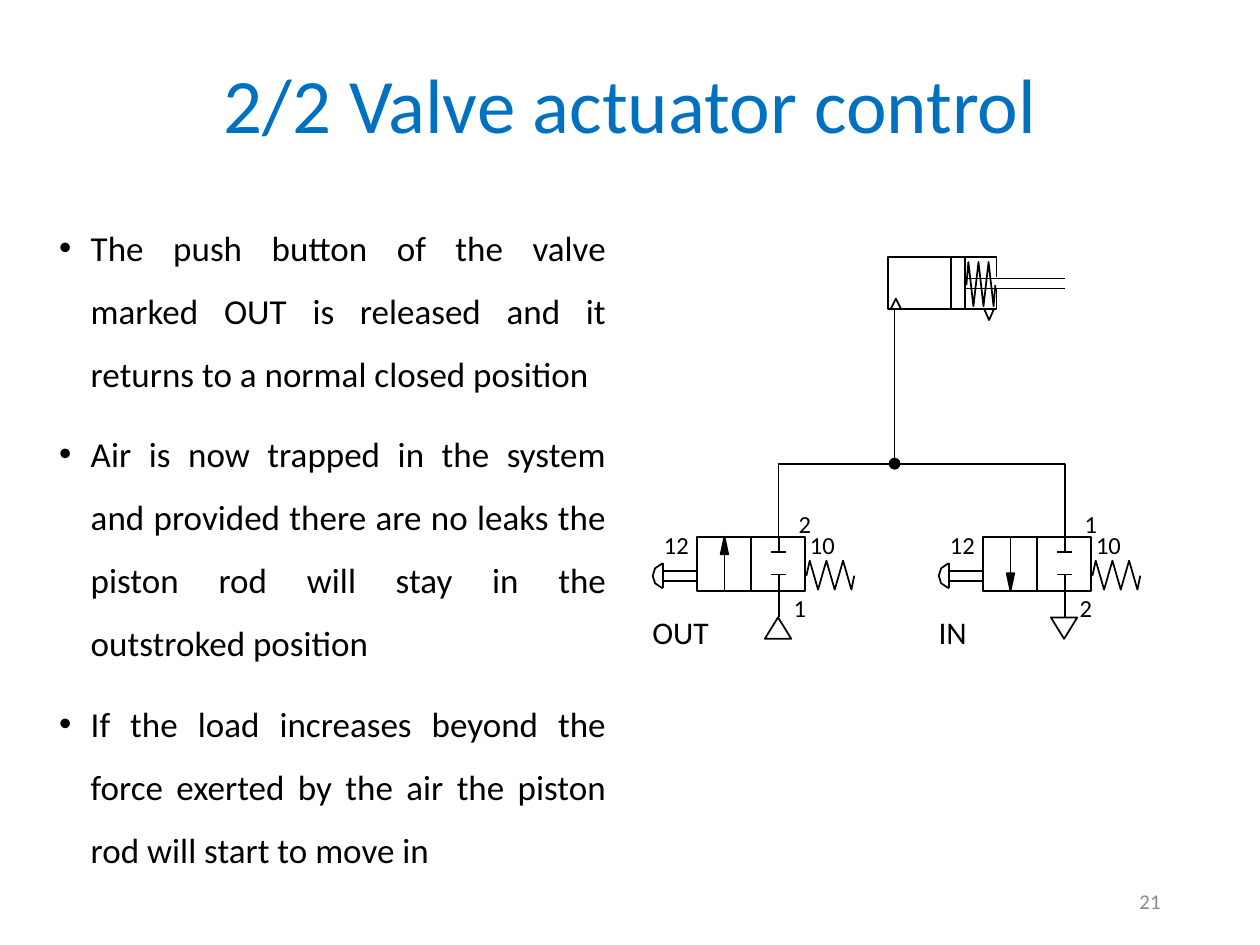
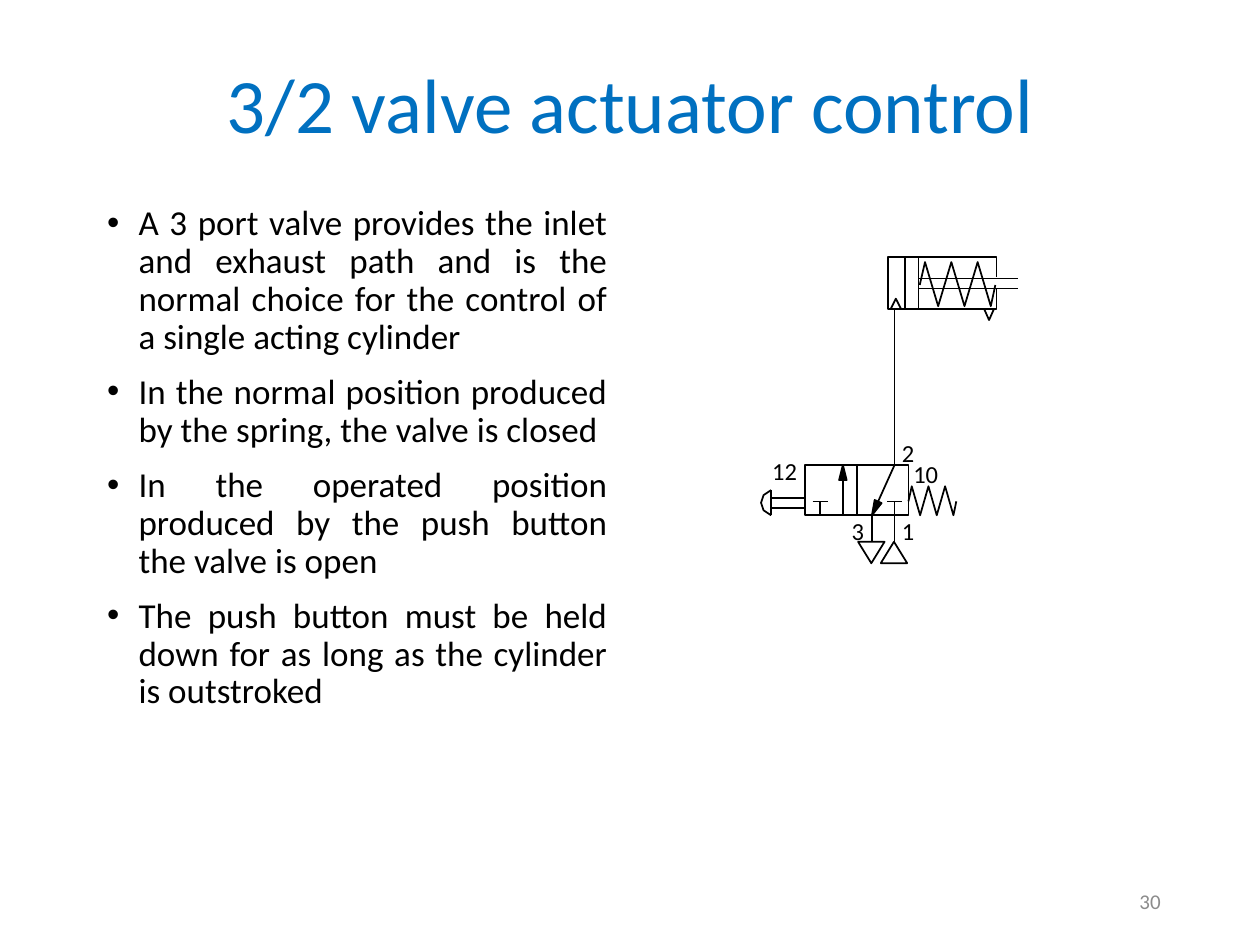
from dataclasses import dataclass
from math import hypot

from lxml.etree import SubElement
from pptx import Presentation
from pptx.dml.color import RGBColor
from pptx.enum.shapes import MSO_CONNECTOR, MSO_SHAPE
from pptx.enum.text import MSO_ANCHOR, MSO_AUTO_SIZE, PP_ALIGN
from pptx.oxml.ns import qn
from pptx.util import Inches, Pt

SLIDE_WIDTH, SLIDE_HEIGHT = Inches(10), Inches(7.5)
COLUMN, ROW = SLIDE_WIDTH / 10, SLIDE_HEIGHT / 7.5


@dataclass(frozen=True)
class Theme:
    font: str = "Calibri"
    heading: RGBColor = RGBColor(0x00, 0x70, 0xC0)
    ink: RGBColor = RGBColor(0, 0, 0)
    muted: RGBColor = RGBColor(0x8C, 0x8C, 0x8C)
    title_size: int = 44
    body_size: int = 20
    name_size: int = 18
    port_size: int = 14
    footer_size: int = 12
    stroke: int = 1


THEME = Theme()
TITLE_BOX = (1.27, 0.46, 7.47, 0.81)
NUMBER_BOX = (7.06, 6.95, 2.25, 0.4)
DIAGRAM_ORIGIN = (5, 2)
CYLINDER_ORIGIN = (2.05, 0.04)
SUPPLY_X = 2.1
BULLET_INDENT = Inches(0.25)


def apply(target, **values):
    for attribute, value in values.items():
        setattr(target, attribute, value)


def grid_box(left, top, width, height):
    return {"left": round(left * COLUMN), "top": round(top * ROW),
            "width": round(width * COLUMN), "height": round(height * ROW)}


def write(paragraph, text, size, color, **layout):
    apply(paragraph, text=text, **layout)
    apply(paragraph.font, name=THEME.font, size=Pt(size))
    paragraph.font.color.rgb = color


class Panel:
    """Drawing area whose coordinates are grid columns and rows from its corner."""

    def __init__(self, shapes, left, top):
        self.shapes, self.left, self.top = shapes, left, top

    def inner(self, x, y):
        return Panel(self.shapes, self.left + x, self.top + y)

    def point(self, x, y):
        return round((self.left + x) * COLUMN), round((self.top + y) * ROW)

    def ink(self, shape, filled=False):
        shape.shadow.inherit = False
        apply(shape.line, width=Pt(THEME.stroke))
        shape.line.color.rgb = THEME.ink
        if filled:
            shape.fill.solid()
            shape.fill.fore_color.rgb = THEME.ink
        else:
            shape.fill.background()
        return shape

    def line(self, start, end):
        connector = self.shapes.add_connector(
            MSO_CONNECTOR.STRAIGHT, *self.point(*start), *self.point(*end))
        connector.line.width = Pt(THEME.stroke)
        connector.line.color.rgb = THEME.ink
        SubElement(connector._element.spPr, qn("a:effectLst"))
        return connector

    def outline(self, points, closed=False, filled=False):
        first, *others = [self.point(*point) for point in points]
        builder = self.shapes.build_freeform(*first)
        builder.add_line_segments(others, close=closed)
        return self.ink(builder.convert_to_shape(), filled)

    def preset(self, kind, x, y, width, height, filled=False):
        box = grid_box(self.left + x, self.top + y, width, height)
        return self.ink(self.shapes.add_shape(kind, **box), filled)

    def label(self, text, x, y, size=THEME.port_size, width=None, height=0.33):
        width = width or 0.2 + 0.11 * len(text)
        box = self.shapes.add_textbox(**grid_box(self.left + x, self.top + y, width, height))
        apply(box.text_frame, word_wrap=False, auto_size=MSO_AUTO_SIZE.SHAPE_TO_FIT_TEXT)
        write(box.text_frame.paragraphs[0], text, size, THEME.ink)


def spring(panel, width, height):
    """Zigzag of six peaks that starts and ends at mid height."""
    peaks = [((0.94 - 0.174 * turn) * width, 0 if turn % 2 else height) for turn in range(6)]
    panel.outline([(width, 0.52 * height), *peaks, (0, 0.52 * height)])


def push_button(panel):
    """Button head and stem that end at the panel's left edge."""
    panel.line((-0.27, 0.21), (-0.27, 0.41))
    panel.outline([(-0.27, 0.21), (-0.33, 0.25), (-0.35, 0.31), (-0.33, 0.37), (-0.27, 0.41)])
    for y in (0.27, 0.35):
        panel.line((-0.26, y), (0, y))


def flow_arrow(panel, tail, tip, head=0.14, half_width=0.03):
    panel.line(tail, tip)
    length = hypot(tip[0] - tail[0], tip[1] - tail[1])
    dx, dy = (tip[0] - tail[0]) / length, (tip[1] - tail[1]) / length
    base_x, base_y = tip[0] - head * dx, tip[1] - head * dy
    panel.outline([tip, (base_x - half_width * dy, base_y + half_width * dx),
                   (base_x + half_width * dy, base_y - half_width * dx)],
                  closed=True, filled=True)


def closed_port(panel, x, edge, bar):
    panel.line((x, edge), (x, bar))
    panel.line((x - 0.06, bar), (x + 0.06, bar))


def air_port(panel, x, edge, exhaust=False):
    """Pipe below the valve with a supply or exhaust triangle."""
    panel.line((x, edge), (x, edge + 0.21))
    triangle = panel.preset(MSO_SHAPE.ISOSCELES_TRIANGLE, x - 0.11, edge + 0.21, 0.21, 0.17)
    triangle.rotation = 180 if exhaust else 0


def valve_body(panel, width, height):
    """Two square chambers, parted in the middle."""
    body = panel.preset(MSO_SHAPE.RECTANGLE, 0, 0, width, height)
    divider = panel.line((width / 2, 0), (width / 2, height))
    divider.begin_connect(body, 0)
    divider.end_connect(body, 2)


def cylinder(panel, piston):
    """Single acting cylinder; piston is its distance from the left end."""
    width, height, face = 0.86, 0.41, piston + 0.11
    panel.outline([(width, 0.16), (width, 0), (0, 0), (0, height), (width, height),
                   (width, 0.25)])
    for x in (piston, face):
        panel.line((x, 0), (x, height))
    for y in (0.17, 0.25):
        panel.line((face, y), (face + 0.79, y))
    spring(panel.inner(face + 0.01, 0.04), width - face - 0.02, 0.35)
    for x, tip in ((0.02, 0.33), (0.76, 0.5)):
        panel.outline([(x, height), (x + 0.04, tip), (x + 0.08, height)])


def two_port_valve(panel, name, name_width, top_port, bottom_port, exhaust):
    width, height, flow_x, port_x = 0.86, 0.43, 0.22, 0.65
    valve_body(panel, width, height)
    ends = [(flow_x, height), (flow_x, 0)]
    flow_arrow(panel, *(reversed(ends) if exhaust else ends))
    closed_port(panel, port_x, 0, 0.12)
    closed_port(panel, port_x, height, 0.3)
    air_port(panel, port_x, height, exhaust)
    push_button(panel)
    spring(panel.inner(width + 0.01, 0.19), 0.38, 0.23)
    for text, x, y in (("12", -0.36, -0.1), ("10", 0.8, -0.1),
                       (top_port, 0.71, -0.27), (bottom_port, 0.67, 0.4)):
        panel.label(text, x, y)
    panel.label(name, -0.45, 0.56, THEME.name_size, name_width, 0.4)


def three_port_valve(panel):
    width, height, exhaust_x, supply_x = 0.82, 0.4, 0.53, 0.71
    valve_body(panel, width, height)
    flow_arrow(panel, (0.3, height), (0.3, 0), head=0.12)
    flow_arrow(panel, (supply_x, 0), (exhaust_x, height), head=0.12)
    for x in (0.12, supply_x):
        closed_port(panel, x, height, 0.29)
    air_port(panel, supply_x, height)
    air_port(panel, exhaust_x, height, exhaust=True)
    push_button(panel.inner(0, -0.01))
    spring(panel.inner(width, 0.17), 0.38, 0.23)
    for text, x, y in (("1", 0.67, 0.36), ("2", 0.67, -0.26), ("3", 0.27, 0.36),
                       ("12", -0.36, -0.12), ("10", 0.76, -0.1)):
        panel.label(text, x, y)


def two_valve_circuit(panel):
    valve_top, junction, out_x, in_x = 2.26, 1.68, 0.53, 2.8
    cylinder(panel.inner(*CYLINDER_ORIGIN), piston=0.5)
    two_port_valve(panel.inner(out_x, valve_top), "OUT", 0.73, "2", "1", exhaust=False)
    two_port_valve(panel.inner(in_x, valve_top), "IN", 0.45, "1", "2", exhaust=True)
    out_port, in_port = out_x + 0.65, in_x + 0.65
    panel.outline([(out_port, valve_top), (out_port, junction),
                   (in_port, junction), (in_port, valve_top)])
    panel.line((SUPPLY_X, 0.46), (SUPPLY_X, junction))
    panel.preset(MSO_SHAPE.OVAL, SUPPLY_X - 0.04, junction - 0.04, 0.08, 0.08, filled=True)


def one_valve_circuit(panel):
    valve_top = 1.69
    cylinder(panel.inner(*CYLINDER_ORIGIN), piston=0.13)
    panel.line((SUPPLY_X, 0.46), (SUPPLY_X, valve_top))
    three_port_valve(panel.inner(1.39, valve_top))


def bullet_list(body, box, points, line_spacing):
    apply(body, **grid_box(*box))
    frame = body.text_frame
    apply(frame, auto_size=MSO_AUTO_SIZE.NONE, word_wrap=True)
    for index, point in enumerate(points):
        paragraph = frame.add_paragraph() if index else frame.paragraphs[0]
        properties = paragraph._p.get_or_add_pPr()
        properties.set("marL", str(BULLET_INDENT))
        properties.set("indent", str(-BULLET_INDENT))
        write(paragraph, point, THEME.body_size, THEME.ink, alignment=PP_ALIGN.JUSTIFY,
              line_spacing=line_spacing, space_before=Pt(10 if index else 0))


def page_number(slide, number):
    box = slide.shapes.add_textbox(**grid_box(*NUMBER_BOX))
    apply(box.text_frame, word_wrap=True, vertical_anchor=MSO_ANCHOR.MIDDLE)
    write(box.text_frame.paragraphs[0], number, THEME.footer_size, THEME.muted,
          alignment=PP_ALIGN.RIGHT)


def circuit_slide(deck, title, number, body_box, points, line_spacing, draw_circuit):
    slide = deck.slides.add_slide(deck.slide_layouts.get_by_name("Title and Content"))
    heading, body = slide.placeholders
    apply(heading, **grid_box(*TITLE_BOX))
    apply(heading.text_frame, vertical_anchor=MSO_ANCHOR.MIDDLE, auto_size=MSO_AUTO_SIZE.NONE)
    write(heading.text_frame.paragraphs[0], title, THEME.title_size, THEME.heading,
          alignment=PP_ALIGN.CENTER, line_spacing=0.9)
    bullet_list(body, body_box, points, line_spacing)
    draw_circuit(Panel(slide.shapes, *DIAGRAM_ORIGIN))
    page_number(slide, number)


def main():
    deck = Presentation()
    apply(deck, slide_width=SLIDE_WIDTH, slide_height=SLIDE_HEIGHT)
    circuit_slide(deck, "2/2 Valve actuator control", "21", (0.37, 1.58, 4.54, 5.46), [
        "The push button of the valve marked OUT is released and it returns to a normal "
        "closed position",
        "Air is now trapped in the system and provided there are no leaks the piston rod "
        "will stay in the outstroked position",
        "If the load increases beyond the force exerted by the air the piston rod will "
        "start to move in",
    ], 1.5, two_valve_circuit)
    circuit_slide(deck, "3/2 valve actuator control", "30", (0.75, 1.58, 4.17, 4.92), [
        "A 3 port valve provides the inlet and exhaust path and is the normal choice for "
        "the control of a single acting cylinder",
        "In the normal position produced by the spring, the valve is closed",
        "In the operated position produced by the push button the valve is open",
        "The push button must be held down for as long as the cylinder is outstroked",
    ], 0.9, one_valve_circuit)
    deck.save("out.pptx")


if __name__ == "__main__":
    main()
